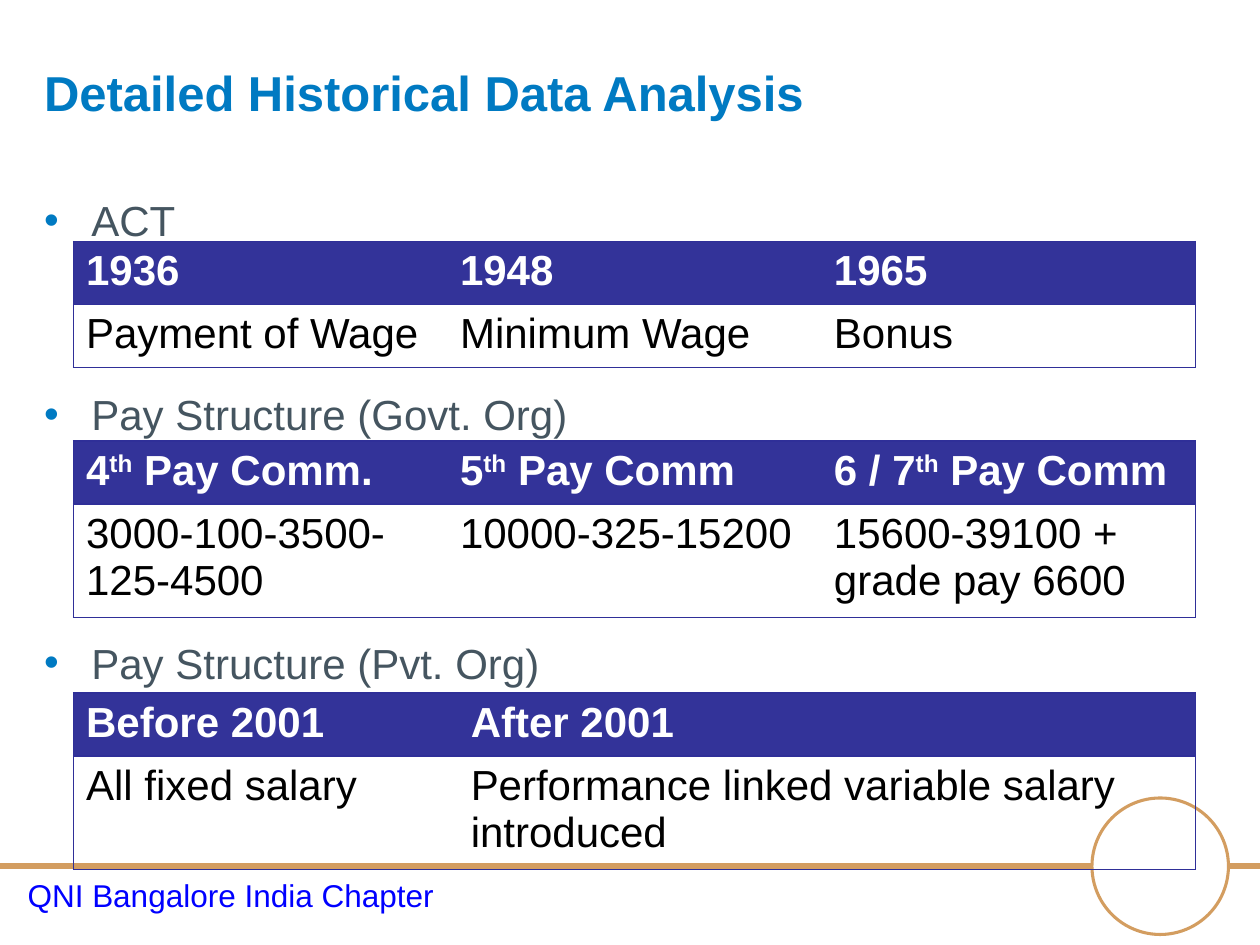
from pptx import Presentation
from pptx.util import Pt
from pptx.dml.color import RGBColor
from pptx.enum.shapes import MSO_CONNECTOR as CONN, MSO_SHAPE as SHAPE
from pptx.enum.text import MSO_ANCHOR as ANCHOR, MSO_AUTO_SIZE as AUTO, PP_ALIGN as ALIGN
from pptx.oxml.ns import qn
from lxml.etree import SubElement as sub


def rgb(value):
    return RGBColor.from_string(value)


def add_run(p, text, color, **fmt):
    r = p.add_run()
    r.text = text
    r.font.color.rgb = rgb(color)
    for key, value in {"name": "Arial", "size": Pt(24), "bold": False, **fmt}.items():
        setattr(r.font, key, value)
    return r


BLUE, SLATE, TAN, HEADER, BORDER = "007AC2", "455560", "D39D60", "333399", "2F2F98"

prs = Presentation()
prs.slide_width, prs.slide_height = Pt(720), Pt(540)
s = prs.slides.add_slide(prs.slide_layouts[1])
title, body = s.placeholders

line = s.shapes.add_connector(CONN.STRAIGHT, Pt(0), Pt(495), Pt(720), Pt(495))
sub(line._element.spPr, qn("a:effectLst"))
circle = s.shapes.add_shape(SHAPE.OVAL, Pt(624), Pt(456), Pt(78), Pt(78))
circle.shadow.inherit = False
circle.fill.solid()
circle.fill.fore_color.rgb = rgb("FFFFFF")
for sp, width in ((line, 3.5), (circle, 1.75)):
    sp.line.color.rgb = rgb(TAN)
    sp.line.width = Pt(width)

footer = s.shapes.add_textbox(Pt(8.7), Pt(497), Pt(249), Pt(29))
footer.text_frame.word_wrap = False
add_run(footer.text_frame.paragraphs[0], "QNI Bangalore India Chapter", "0000FF", size=Pt(18))

for sp, top, height, inset in ((title, 30.2, 84, 5.6), (body, 95.8, 366, 15.6)):
    sp.left, sp.top, sp.width, sp.height = Pt(18), Pt(top), Pt(684), Pt(height)
    frame = {"vertical_anchor": ANCHOR.TOP, "auto_size": AUTO.NONE,
             "word_wrap": True, "margin_top": Pt(inset)}
    for key, value in frame.items():
        setattr(sp.text_frame, key, value)

p = title.text_frame.paragraphs[0]
p.alignment = ALIGN.LEFT
add_run(p, "Detailed Historical Data Analysis", BLUE, size=Pt(28), bold=True)

tf = body.text_frame
topics = [("ACT", 0), ("Pay Structure (Govt. Org)", 82), ("Pay Structure (Pvt. Org)", 113)]
for i, (text, gap) in enumerate(topics):
    p = tf.add_paragraph() if i else tf.paragraphs[0]
    p.space_before, p.line_spacing = Pt(gap), 1.0
    pPr = p._p.get_or_add_pPr()
    pPr.set("marL", str(Pt(27)))
    pPr.set("indent", str(Pt(-27)))
    sub(sub(pPr, qn("a:buClr")), qn("a:srgbClr"), val=BLUE)
    sub(pPr, qn("a:buFont"), typeface="Arial")
    sub(pPr, qn("a:buChar"), char="•")
    add_run(p, text, SLATE)

tables = [
    (138, 34, [213.7] * 3, [["1936", "1948", "1965"],
                            ["Payment of Wage", "Minimum Wage", "Bonus"]]),
    (252, 60.6, [213.7] * 3, [["4^th^ Pay Comm.", "5^th^ Pay Comm", "6 / 7^th^ Pay Comm"],
                              ["3000-100-3500-125-4500", "10000-325-15200",
                               "15600-39100 + grade pay 6600"]]),
    (396, 60.6, [219.8, 421.3], [["Before 2001", "After 2001"],
                                 ["All fixed salary",
                                  "Performance linked variable salary introduced"]]),
]
for top, height, widths, rows in tables:
    last = len(widths) - 1
    sp = s.shapes.add_table(2, len(widths), Pt(42), Pt(top), Pt(sum(widths)), Pt(34 + height))
    tbl = sp.table
    tbl.horz_banding = False
    tbl._tbl.tblPr.find(qn("a:tableStyleId")).text = "{2D5ABB26-0587-4C30-8999-92F81FD0307C}"
    for col, width in zip(tbl.columns, widths):
        col.width = Pt(width)
    for row, row_height in zip(tbl.rows, (34, height)):
        row.height = Pt(row_height)
    for i, texts in enumerate(rows):
        for j, text in enumerate(texts):
            cell = tbl.cell(i, j)
            tcPr = cell._tc.get_or_add_tcPr()
            edges = {"L": j == 0, "R": j == last, "T": True, "B": True}
            for side in (side for side, shown in edges.items() if shown):
                ln = sub(tcPr, qn(f"a:ln{side}"), w=str(Pt(0.75)))
                sub(sub(ln, qn("a:solidFill")), qn("a:srgbClr"), val=BORDER)
            if i == 0:
                cell.fill.solid()
                cell.fill.fore_color.rgb = rgb(HEADER)
            else:
                cell.fill.background()
            for k, part in enumerate(text.split("^")):
                r = add_run(cell.text_frame.paragraphs[0], part,
                            "000000" if i else "FFFFFF", bold=i == 0)
                if k == 1:
                    r._r.get_or_add_rPr().set("baseline", "30000")

prs.save("out.pptx")
